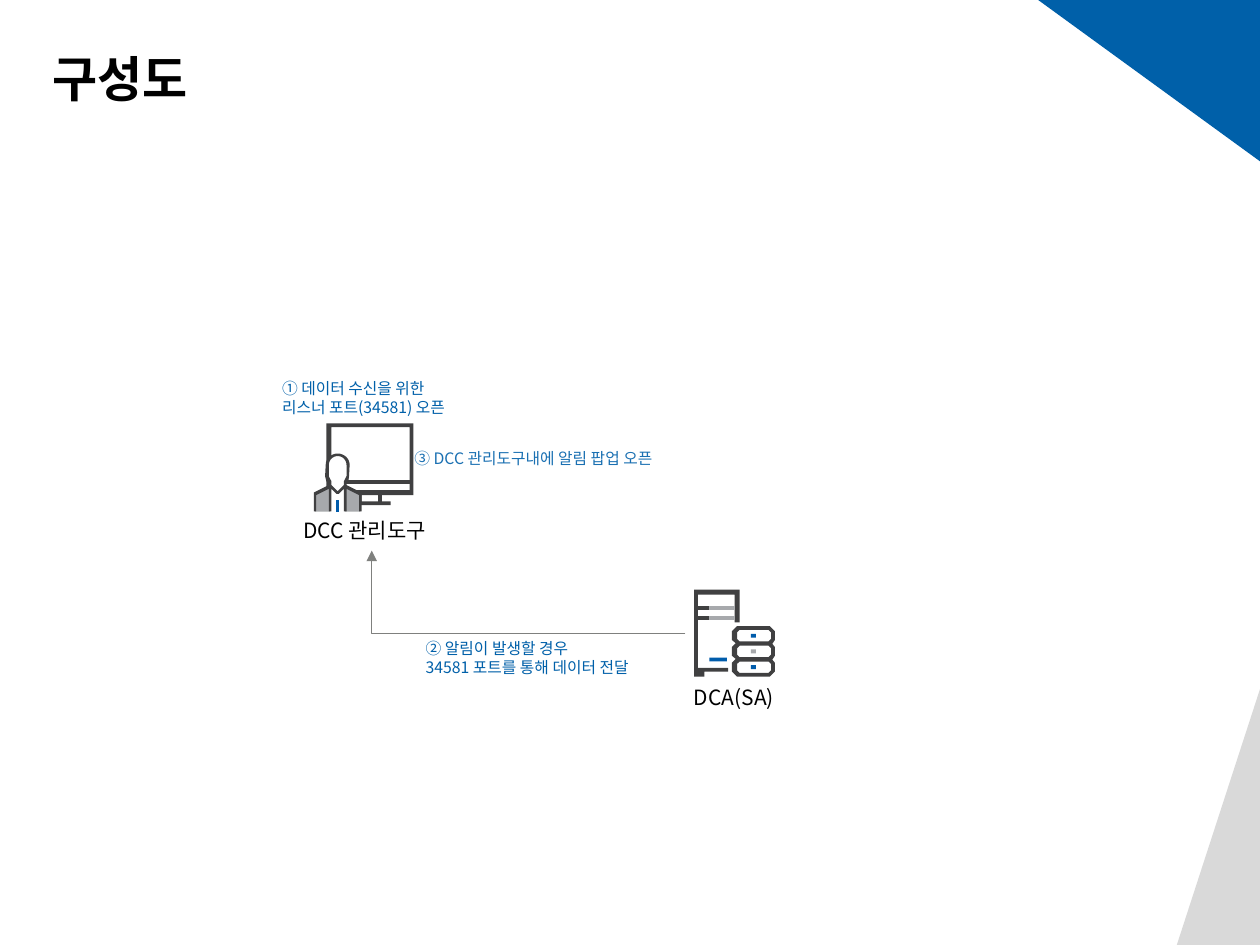
from math import cos, pi, sin

from lxml import etree
from pptx import Presentation
from pptx.dml.color import RGBColor
from pptx.enum.shapes import MSO_CONNECTOR
from pptx.enum.text import MSO_ANCHOR, MSO_AUTO_SIZE, PP_ALIGN
from pptx.oxml.ns import qn
from pptx.util import Inches, Pt

ELBOW = MSO_CONNECTOR.ELBOW
MIDDLE = MSO_ANCHOR.MIDDLE
LEFT = PP_ALIGN.LEFT
FIT_SHAPE = MSO_AUTO_SIZE.SHAPE_TO_FIT_TEXT
COLORS = {
    "black": "000000", "white": "FFFFFF", "blue": "0060A9", "light_blue": "1A70B2",
    "accent": "005CAB", "dark": "404041", "gray": "A7A9AC", "pale": "D9D9D9",
    "arrow": "7F807E",
}


def box(left, top, right, bottom):
    return [(left, top), (right, top), (right, bottom), (left, bottom)]


def dome(center_x, center_y, radius_x, radius_y, steps=16):
    angles = [pi + pi * step / steps for step in range(steps + 1)]
    return [(center_x + radius_x * cos(a), center_y + radius_y * sin(a)) for a in angles]


def octagon(left, top, right, bottom, cut):
    return [(left + cut, top), (right - cut, top), (right, top + cut),
            (right, bottom - cut), (right - cut, bottom), (left + cut, bottom),
            (left, bottom - cut), (left, top + cut)]


class Diagram:
    title_font = "Noto Sans"
    text_font = "Noto Sans CJK KR"

    def __init__(self, slide):
        self.slide = slide

    def font(self, paragraph, name, size, color, bold=None):
        font = paragraph.font
        font.name, font.size, font.bold = name, Pt(size), bold
        font.color.rgb = RGBColor.from_string(COLORS[color])
        defaults = paragraph._p.pPr.find(qn("a:defRPr"))
        etree.SubElement(defaults, qn("a:ea")).set("typeface", self.text_font)

    def title(self, text, left, top, width, height):
        title = self.slide.shapes.title
        title.left, title.top = Inches(left), Inches(top)
        title.width, title.height = Inches(width), Inches(height)
        frame = title.text_frame
        frame.text = text
        frame.vertical_anchor = MIDDLE
        frame.margin_left = frame.margin_right = frame.margin_top = frame.margin_bottom = 0
        heading = frame.paragraphs[0]
        heading.alignment = LEFT
        heading.line_spacing = Pt(35)
        self.font(heading, self.title_font, 28, "black", True)

    def label(self, lines, left, top, width, height, size=9, color="blue"):
        label = self.slide.shapes.add_textbox(
            Inches(left), Inches(top), Inches(width), Inches(height))
        frame = label.text_frame
        frame.word_wrap = False
        frame.auto_size = FIT_SHAPE
        frame.text = "\n".join(lines)
        for paragraph in frame.paragraphs:
            self.font(paragraph, self.text_font, size, color)

    def outline(self, color, *contours, group=None):
        shapes = group.shapes if group else self.slide.shapes
        builder = None
        for contour in contours:
            points = [(Inches(x), Inches(y)) for x, y in contour]
            if builder is None:
                builder = shapes.build_freeform(*points[0])
            else:
                builder.move_to(*points[0])
            builder.add_line_segments(points[1:], close=True)
        part = builder.convert_to_shape()
        part.shadow.inherit = False
        part.fill.solid()
        part.fill.fore_color.rgb = RGBColor.from_string(COLORS[color])
        part.line.fill.background()

    def icon(self, *parts):
        group = self.slide.shapes.add_group_shape()
        for color, *contours in parts:
            self.outline(color, *contours, group=group)

    def bent_arrow(self, left, top, right, bottom, color):
        arrow = self.slide.shapes.add_connector(
            ELBOW, Inches(left), Inches(top), Inches(right), Inches(bottom))
        arrow.line.color.rgb = RGBColor.from_string(COLORS[color])
        arrow.line.width = Pt(0.5)
        properties = arrow._element.spPr
        properties.find(qn("a:xfrm")).set("rot", "10800000")
        properties.find(qn("a:prstGeom")).set("prst", "bentConnector2")
        etree.SubElement(properties.find(qn("a:ln")), qn("a:tailEnd")).set("type", "triangle")
        etree.SubElement(properties, qn("a:effectLst"))


def draw_workstation(diagram):
    monitor = [(3.28, 3.93), (3.28, 3.36), (2.59, 3.36), (2.59, 3.93), (2.84, 3.93),
               (2.84, 3.98), (2.77, 3.98), (2.77, 4.01), (3.1, 4.01), (3.1, 3.98),
               (3.03, 3.98), (3.03, 3.93)]
    diagram.icon(
        ("white", box(2.61, 3.37, 3.26, 3.9)),
        ("dark", monitor, box(2.63, 3.39, 3.25, 3.81), box(2.63, 3.84, 3.25, 3.89),
         box(2.87, 3.93, 3, 3.98)),
    )
    body = dome(2.68, 3.69, 0.08, 0.08) + [
        (2.76, 3.78), (2.74, 3.83), (2.74, 4.06), (2.62, 4.06), (2.62, 3.83), (2.6, 3.78)]
    jacket_left = [(2.5, 4.06), (2.62, 4.06), (2.62, 3.85), (2.5, 3.91)]
    jacket_right = [(2.74, 3.85), (2.74, 4.06), (2.86, 4.06), (2.86, 3.91)]
    person = dome(2.68, 3.69, 0.095, 0.09) + [
        (2.77, 3.78), (2.765, 3.82), (2.75, 3.84), (2.75, 3.85), (2.87, 3.91), (2.87, 4.06),
        (2.85, 4.06), (2.85, 3.93), (2.75, 3.88), (2.75, 4.06), (2.73, 4.06), (2.73, 3.88),
        (2.69, 3.92), (2.67, 3.92), (2.63, 3.88), (2.63, 4.06), (2.61, 4.06), (2.61, 3.88),
        (2.51, 3.93), (2.51, 4.06), (2.49, 4.06), (2.49, 3.91), (2.61, 3.85), (2.61, 3.84),
        (2.59, 3.82), (2.58, 3.78)]
    face = dome(2.68, 3.69, 0.07, 0.07) + [
        (2.75, 3.78), (2.73, 3.82), (2.73, 3.85), (2.68, 3.9), (2.63, 3.85), (2.63, 3.82),
        (2.61, 3.78)]
    diagram.icon(
        ("white", body),
        ("gray", jacket_left, jacket_right),
        ("dark", person, face),
        ("accent", box(2.67, 3.97, 2.69, 4.06)),
    )


def draw_server(diagram):
    disk_tops = [4.97 + 0.125 * disk for disk in range(3)]
    backdrop = [(5.52, 4.7), (5.85, 4.7), (5.85, 4.94), (6.13, 4.94), (6.18, 5),
                (6.18, 5.35), (6.13, 5.4), (5.84, 5.4), (5.78, 5.35), (5.78, 5.32),
                (5.52, 5.32)]
    tower = [(5.54, 4.92), (5.63, 4.92), (5.63, 4.89), (5.54, 4.89), (5.54, 4.84),
             (5.63, 4.84), (5.63, 4.81), (5.54, 4.81), (5.54, 4.72), (5.83, 4.72),
             (5.83, 4.94), (5.87, 4.94), (5.87, 4.68), (5.51, 4.68), (5.51, 5.37),
             (5.59, 5.37), (5.59, 5.33), (5.78, 5.33), (5.78, 5.3), (5.54, 5.3)]
    stack = [(5.85, 4.97), (6.11, 4.97)]
    for top in disk_tops:
        stack += [(6.15, top + 0.04), (6.15, top + 0.11), (6.13, top + 0.14)]
    stack[-1:] = [(6.11, 5.37), (5.85, 5.37)]
    for top in reversed(disk_tops):
        stack += [(5.81, top + 0.11), (5.81, top + 0.04), (5.84, top + 0.01)]
    stack.pop()
    slots = [octagon(5.85, top + 0.03, 6.12, top + 0.12, 0.02) for top in disk_tops]
    lights = [box(5.96, top + 0.06, 6, top + 0.09) for top in disk_tops]
    diagram.icon(
        ("white", backdrop),
        ("dark", tower, stack, *slots),
        ("accent", box(5.63, 5.22, 5.77, 5.25), lights[0], lights[2]),
        ("gray", box(5.63, 4.81, 5.83, 4.84), box(5.63, 4.89, 5.83, 4.92), lights[1]),
    )


def main():
    presentation = Presentation()
    presentation.slide_width, presentation.slide_height = Inches(10), Inches(7.5)
    diagram = Diagram(presentation.slides.add_slide(presentation.slide_layouts[5]))
    diagram.outline("blue", [(8.24, 0), (10, 0), (10, 1.28)])
    diagram.outline("pale", [(9.34, 7.5), (10, 7.5), (10, 5.47)])
    diagram.title("구성도", 0.42, 0.23, 4.92, 0.75)
    draw_workstation(diagram)
    diagram.label(["DCC 관리도구"], 2.31, 4.06, 1.26, 0.3, 12, "black")
    draw_server(diagram)
    diagram.label(["DCA(SA)"], 5.41, 5.38, 0.84, 0.3, 12, "black")
    diagram.label(["① 데이터 수신을 위한", "리스너 포트(34581) 오픈"], 2.14, 2.96, 1.6, 0.4)
    diagram.label(["② 알림이 발생할 경우", "34581 포트를 통해 데이터 전달"], 3.28, 5.02, 1.99, 0.4)
    diagram.label(["③ DCC 관리도구내에 알림 팝업 오픈"], 3.19, 3.51, 2.36, 0.25,
                  color="light_blue")
    diagram.bent_arrow(2.95, 4.37, 5.44, 5.03, "arrow")
    presentation.save("out.pptx")


if __name__ == "__main__":
    main()
